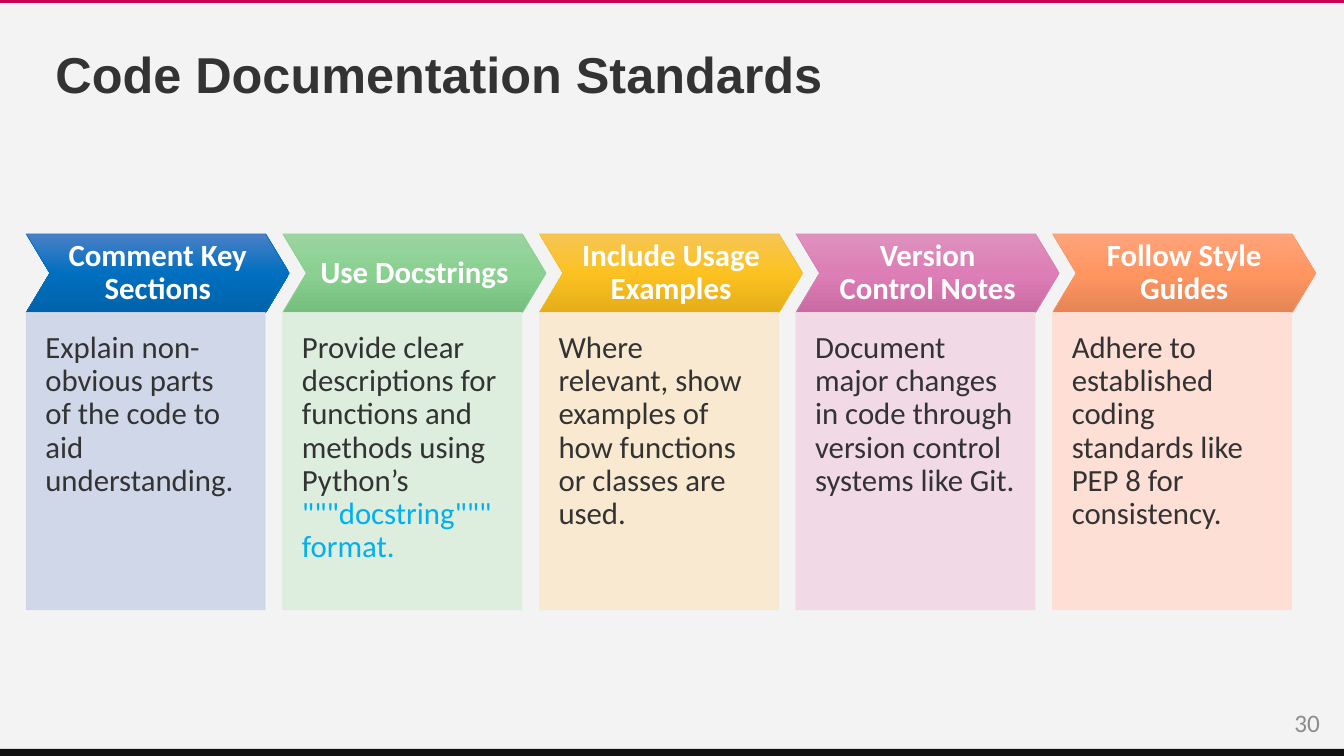
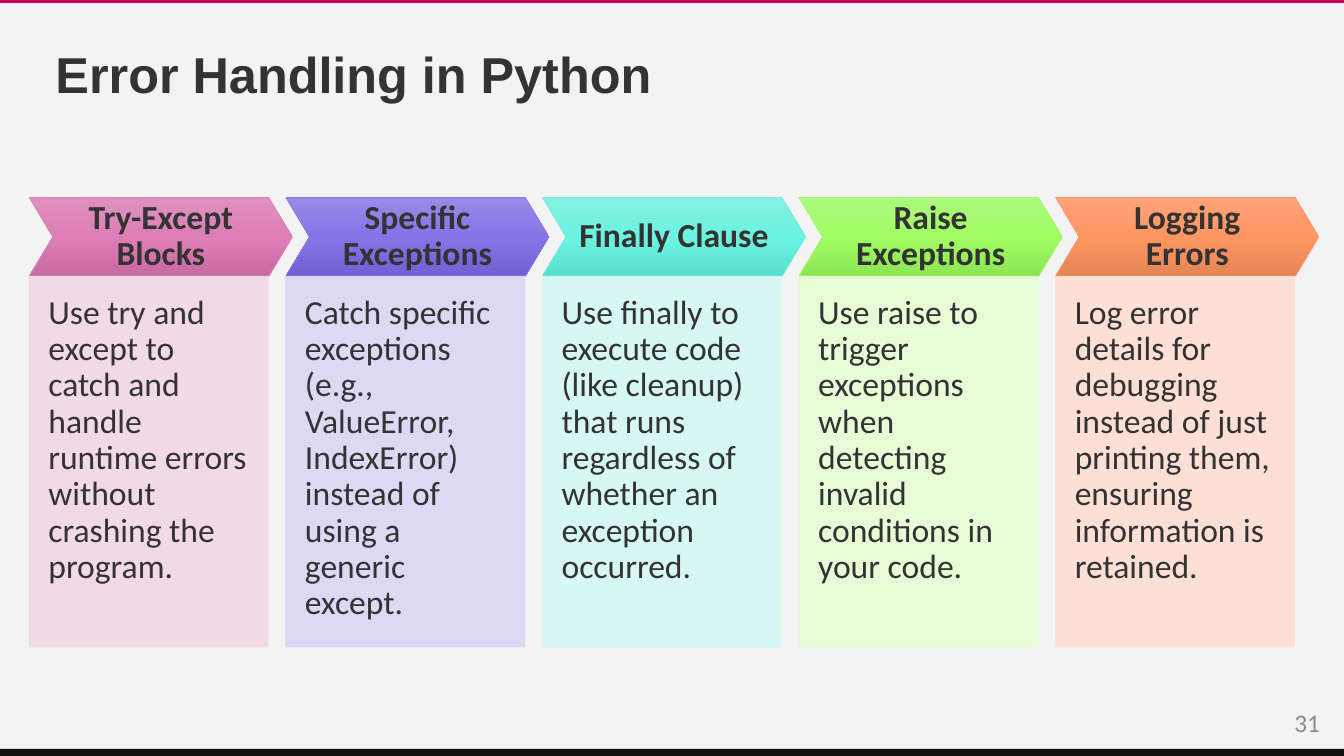
from copy import deepcopy

from lxml.etree import SubElement
from pptx import Presentation
from pptx.dml.color import RGBColor
from pptx.enum.shapes import MSO_SHAPE
from pptx.enum.text import MSO_ANCHOR, MSO_AUTO_SIZE, PP_ALIGN
from pptx.oxml.ns import qn
from pptx.util import Inches, Pt

CHEVRON, RECTANGLE = MSO_SHAPE.CHEVRON, MSO_SHAPE.RECTANGLE
TOP, MIDDLE = MSO_ANCHOR.TOP, MSO_ANCHOR.MIDDLE
LEFT, CENTER, RIGHT = PP_ALIGN.LEFT, PP_ALIGN.CENTER, PP_ALIGN.RIGHT
NO_AUTOFIT = MSO_AUTO_SIZE.NONE

# Shared look
TITLE_FONT, BODY_FONT = "Arial", "Calibri"
BACKGROUND, DARK, WHITE = "F3F3F3", "333333", "FFFFFF"
GREY, CODE_BLUE = "8C8C8C", "00B0F0"
BANDS = [(7.43, 0.07, "101010"), (0, 0.03, "C80054")]  # top, height, colour

# Column geometry in inches
HEADER_WIDTH, HEADER_HEIGHT, PANEL_WIDTH = 2.61, 0.78, 2.37
COLUMN_STEP = 10.18 / 4

# Chevron gradient stops, chevron outline, panel fill
PALETTE = {
    "blue": (["4B80C7", "006FBF", "0063AA"], "006FBF", "CCD5E8"),
    "green": (["9BD4A1", "8AD191", "76BE7E"], "8DCE94", "DBEDDC"),
    "yellow": (["F6C554", "FCC222", "E5AE19"], "F2BD2C", "FAE8CD"),
    "pink": (["DE91BE", "DD7EB6", "CA6AA2"], "D982B5", "F1D8E5"),
    "orange": (["FFA37A", "FF9662", "E58555"], "FF9662", "FFDDD3"),
    "violet": (["978BE7", "8574E8", "7261D5"], "897AE3", "DBD6F5"),
    "aqua": (["84F0E2", "6CF2E1", "58DFCE"], "72ECDD", "D5F8F3"),
    "lime": (["ACF97E", "A0FD63", "8DE553"], "A1F66A", "E6FCD4"),
}

# Slide content; each column is palette name, heading, body text, code text
SLIDES = [
    {
        "title": "Code Documentation Standards", "number": "30",
        "left": 0.26, "top": 2.32, "panel_height": 2.95,
        "size": 22, "heading_color": WHITE,
        "columns": [
            ("blue", "Comment Key Sections",
             "Explain non-obvious parts of the code to aid understanding.", ""),
            ("green", "Use Docstrings",
             "Provide clear descriptions for functions and methods using Python’s ",
             '"""docstring""" format.'),
            ("yellow", "Include Usage Examples",
             "Where relevant, show examples of how functions or classes are used.", ""),
            ("pink", "Version Control Notes",
             "Document major changes in code through version control systems like Git.", ""),
            ("orange", "Follow Style Guides",
             "Adhere to established coding standards like PEP 8 for consistency.", ""),
        ],
    },
    {
        "title": "Error Handling in Python", "number": "31",
        "left": 0.29, "top": 1.96, "panel_height": 3.68,
        "size": 24, "heading_color": DARK,
        "columns": [
            ("pink", "Try-Except Blocks",
             "Use try and except to catch and handle runtime errors without "
             "crashing the program.", ""),
            ("violet", "Specific Exceptions",
             "Catch specific exceptions (e.g., ValueError, IndexError) instead of "
             "using a generic except.", ""),
            ("aqua", "Finally Clause",
             "Use finally to execute code (like cleanup) that runs regardless of "
             "whether an exception occurred.", ""),
            ("lime", "Raise Exceptions",
             "Use raise to trigger exceptions when detecting invalid conditions in "
             "your code.", ""),
            ("orange", "Logging Errors",
             "Log error details for debugging instead of just printing them, "
             "ensuring information is retained.", ""),
        ],
    },
]


def color(code):
    return RGBColor.from_string(code)


def write(shape, spans, align, font, spacing=0.9, **frame_format):
    """Fill a shape with one paragraph of (text, colour) spans."""
    frame = shape.text_frame
    frame_values = {"word_wrap": True, "auto_size": NO_AUTOFIT,
                    "vertical_anchor": TOP, **frame_format}
    for name, value in frame_values.items():
        setattr(frame, name, value)
    para = frame.paragraphs[0]
    para.alignment, para.line_spacing = align, spacing
    for text, code in spans:
        span = para.add_run()
        span.text = text
        for name, value in font.items():
            setattr(span.font, name, value)
        span.font.color.rgb = color(code)


deck = Presentation()
deck.slide_width, deck.slide_height = Inches(13.33), Inches(7.5)
layout = deck.slide_layouts[5]
pages = [deck.slides.add_slide(layout) for _ in SLIDES]

# Shared layout: background, title place and edge bands
background = layout.background.fill
background.solid()
background.fore_color.rgb = color(BACKGROUND)
layout_title = layout.placeholders[0]
title_place = {"left": 0.45, "top": 0.45, "width": 10.5, "height": 1.05}
for name, value in title_place.items():
    setattr(layout_title, name, Inches(value))
for index, (top, height, code) in enumerate(BANDS):
    band = pages[0].shapes.add_shape(
        RECTANGLE, 0, Inches(top), deck.slide_width, Inches(height))
    band.shadow.inherit = False
    band.fill.solid()
    band.fill.fore_color.rgb = color(code)
    band.line.fill.background()
    band.element.nvSpPr.cNvPr.set("id", str(20 + index))
    layout.shapes.element.append(band.element)

header_insets = dict.fromkeys(
    ["margin_left", "margin_top", "margin_right", "margin_bottom"], Inches(0.1))
panel_insets = {**dict.fromkeys(header_insets, Inches(0.19)),
                "margin_bottom": Inches(0.37)}

for page, content in zip(pages, SLIDES):
    # Title and page number
    write(page.shapes.title, [(content["title"], DARK)], LEFT,
          {"name": TITLE_FONT, "size": Pt(36), "bold": True})
    number = page.shapes.add_textbox(
        Inches(10.94), Inches(6.97), Inches(2.25), Inches(0.4))
    write(number, [(content["number"], GREY)], RIGHT,
          {"name": BODY_FONT, "size": Pt(18)}, spacing=1.0)

    body_font = {"name": BODY_FONT, "size": Pt(content["size"])}
    for index, (tone, heading, body, code_text) in enumerate(content["columns"]):
        gradient, outline, tint = PALETTE[tone]
        left = Inches(content["left"] + index * COLUMN_STEP)

        # Chevron heading
        header = page.shapes.add_shape(
            CHEVRON, left, Inches(content["top"]),
            Inches(HEADER_WIDTH), Inches(HEADER_HEIGHT))
        header.adjustments[0] = 0.3
        header.fill.gradient()
        header.fill.gradient_angle = 270
        stop_list = header.element.spPr.find(".//" + qn("a:gsLst"))
        stop_list.append(deepcopy(stop_list[0]))
        for stop, position, code in zip(
                header.fill.gradient_stops, [0, 0.5, 1], gradient):
            stop.position = position
            stop.color.rgb = color(code)
        write(header, [(heading, content["heading_color"])], CENTER,
              {**body_font, "bold": True}, vertical_anchor=MIDDLE, **header_insets)

        # Text panel
        panel = page.shapes.add_shape(
            RECTANGLE, left, Inches(content["top"] + HEADER_HEIGHT),
            Inches(PANEL_WIDTH), Inches(content["panel_height"]))
        panel.fill.solid()
        panel.fill.fore_color.rgb = color(tint)
        spans = [(body, DARK), (code_text, CODE_BLUE)]
        write(panel, [span for span in spans if span[0]], LEFT,
              body_font, **panel_insets)

        # Outlines, then a slightly transparent panel
        for shape, code in [(header, outline), (panel, tint)]:
            shape.shadow.inherit = False
            shape.line.color.rgb = color(code)
            shape.line.width = Pt(0.5)
        for tint_element in panel.element.spPr.iter(qn("a:srgbClr")):
            SubElement(tint_element, qn("a:alpha"), val="90000")

deck.save("out.pptx")
